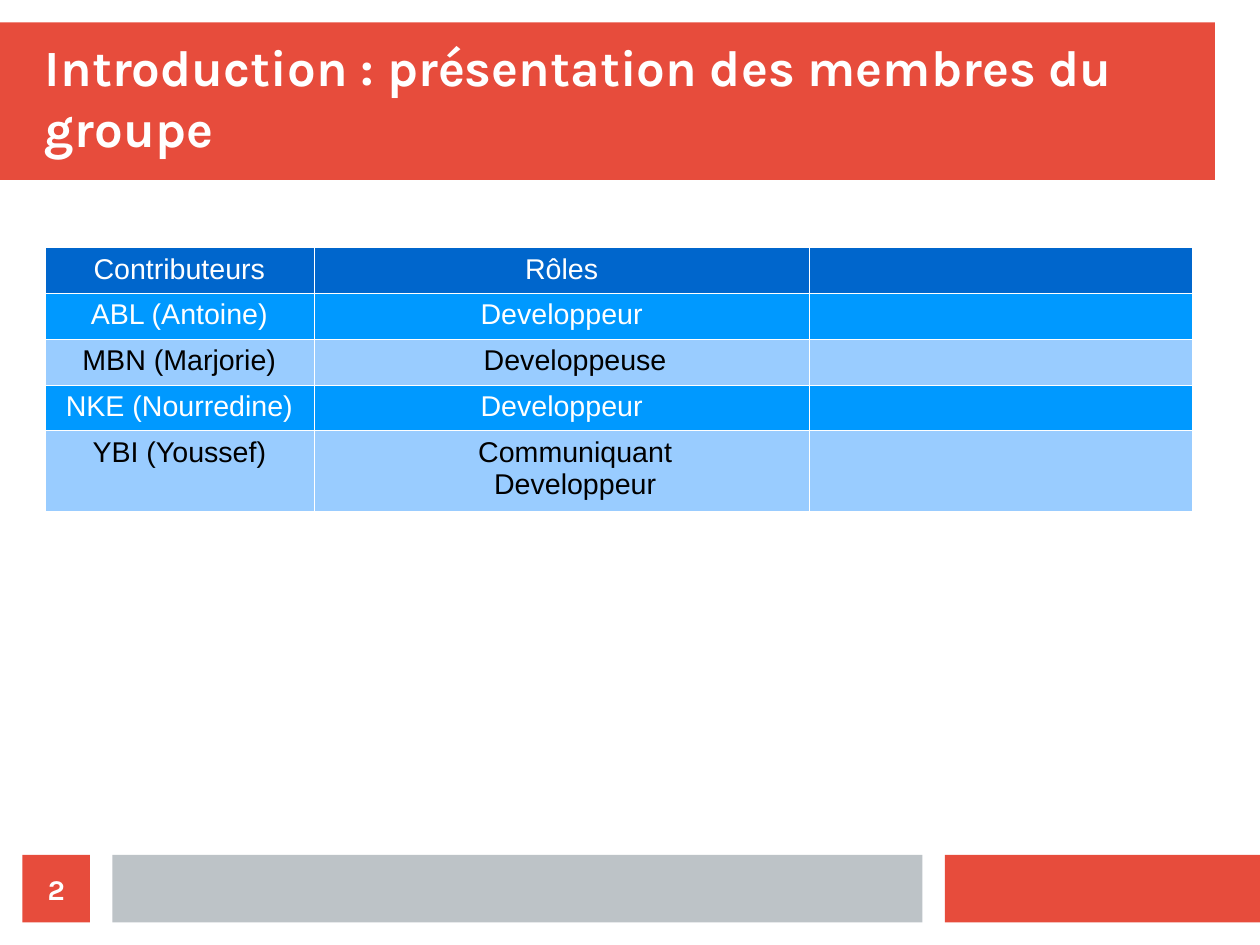
import lxml.etree
import pptx
import pptx.dml.color
import pptx.enum.shapes
import pptx.enum.text
import pptx.oxml.ns
import pptx.util

RGB = pptx.dml.color.RGBColor
RED = RGB(0xE7, 0x4C, 0x3C)
GREY = RGB(0xBD, 0xC3, 0xC7)
WHITE = RGB(0xFF, 0xFF, 0xFF)
BLACK = RGB(0, 0, 0)
HEADER_BLUE = RGB(0x00, 0x66, 0xCC)
BRIGHT_BLUE = RGB(0x00, 0x99, 0xFF)
PALE_BLUE = RGB(0x99, 0xCC, 0xFF)

CENTER = pptx.enum.text.PP_ALIGN.CENTER
LEFT = pptx.enum.text.PP_ALIGN.LEFT
MIDDLE = pptx.enum.text.MSO_ANCHOR.MIDDLE
BOTTOM = pptx.enum.text.MSO_ANCHOR.BOTTOM
CM = pptx.util.Cm
WIDTH, HEIGHT = 28, 21
MARGIN = 1
GAP = 0.5
BORDER = pptx.util.Pt(0.06)
INDENT = CM(0.6)

TABLE_FONT, TABLE_SIZE = "Arial", pptx.util.Pt(18)
COLUMNS = (5.97, 11.02, 8.51)
ROW_HEIGHT = 0.97
EXTRA_LINE = 0.71
MEMBERS = (
    ("Contributeurs", "Rôles", ""),
    ("ABL (Antoine)", "Developpeur", ""),
    ("MBN (Marjorie)", "Developpeuse", ""),
    ("NKE (Nourredine)", "Developpeur", ""),
    ("YBI (Youssef)", "Communiquant\nDeveloppeur", ""),
)


def write(frame, text, align, color, **font_format):
    """Fill a text frame with one paragraph per line of text."""
    frame.text = text
    for paragraph in frame.paragraphs:
        paragraph.alignment = align
        for run in paragraph.runs:
            for key, value in font_format.items():
                setattr(run.font, key, value)
            run.font.color.rgb = color


def write_heading(frame, text, size, align, anchor):
    """Write bold white Karla text without insets."""
    settings = {"word_wrap": True, "vertical_anchor": anchor, "margin_left": 0,
                "margin_right": 0, "margin_top": 0, "margin_bottom": 0}
    for key, value in settings.items():
        setattr(frame, key, value)
    write(frame, text, align, WHITE, name="Karla", size=pptx.util.Pt(size), bold=True)


def add_block(slide, left, top, width, height, color):
    """Add a plain coloured rectangle."""
    block = slide.shapes.add_shape(
        pptx.enum.shapes.MSO_SHAPE.RECTANGLE,
        CM(left), CM(top), CM(width), CM(height))
    block.shadow.inherit = False
    block.fill.solid()
    block.fill.fore_color.rgb = color
    block.line.fill.background()
    return block


def add_title_band(slide, left, top, width, height):
    """Add the red band and the slide title on it."""
    add_block(slide, left, top, width, height, RED)
    title = slide.shapes.add_textbox(
        CM(left + MARGIN), CM(top + GAP), CM(width - MARGIN), CM(height - 2 * GAP))
    write_heading(title.text_frame, "Introduction : présentation des membres du groupe",
                  32, LEFT, BOTTOM)


def add_footer(slide, left, top, width, height):
    """Add the number square, the grey bar and the red bar."""
    bar_left = left + height + GAP
    red_width = WIDTH / 4
    red_left = left + width - red_width
    add_block(slide, red_left, top, red_width, height, RED)
    add_block(slide, bar_left, top, red_left - GAP - bar_left, height, GREY)
    number = add_block(slide, left, top, height, height, RED)
    write_heading(number.text_frame, "2", 18, CENTER, MIDDLE)


def style_cell(cell, fill):
    """Give a cell thin white borders and a solid fill."""
    properties = cell._tc.get_or_add_tcPr()
    for side in ("a:lnL", "a:lnR", "a:lnT", "a:lnB"):
        line = lxml.etree.SubElement(properties, pptx.oxml.ns.qn(side), w=str(BORDER))
        solid = lxml.etree.SubElement(line, pptx.oxml.ns.qn("a:solidFill"))
        lxml.etree.SubElement(solid, pptx.oxml.ns.qn("a:srgbClr"), val=str(WHITE))
    cell.fill.solid()
    cell.fill.fore_color.rgb = fill


def size_empty_cell(cell):
    """Give an empty cell the font of the table, so its row stays low."""
    end = lxml.etree.SubElement(cell.text_frame.paragraphs[0]._p,
                                pptx.oxml.ns.qn("a:endParaRPr"),
                                sz=str(TABLE_SIZE.centipoints))
    lxml.etree.SubElement(end, pptx.oxml.ns.qn("a:latin"), typeface=TABLE_FONT)


def add_members_table(slide, left, top):
    """Add the table of contributors and their roles."""
    heights = [ROW_HEIGHT + EXTRA_LINE * role.count("\n") for _, role, _ in MEMBERS]
    table = slide.shapes.add_table(
        len(MEMBERS), len(COLUMNS), CM(left), CM(top),
        CM(sum(COLUMNS)), CM(sum(heights))).table
    table.first_row = table.horz_banding = False
    for column, width in zip(table.columns, COLUMNS):
        column.width = CM(width)
    for index, (row, member) in enumerate(zip(table.rows, MEMBERS)):
        pale = index > 0 and index % 2 == 0
        fill = PALE_BLUE if pale else BRIGHT_BLUE if index else HEADER_BLUE
        row.height = CM(heights[index])
        for cell, text in zip(row.cells, member):
            style_cell(cell, fill)
            if text:
                write(cell.text_frame, text, CENTER, BLACK if pale else WHITE,
                      name=TABLE_FONT, size=TABLE_SIZE, bold=False)
            else:
                size_empty_cell(cell)
        if pale:
            for role in row.cells[1].text_frame.paragraphs:
                role._p.get_or_add_pPr().set("marL", str(INDENT))


def main():
    """Build the slide and save it."""
    deck = pptx.Presentation()
    deck.slide_width, deck.slide_height = CM(WIDTH), CM(HEIGHT)
    slide = deck.slides.add_slide(deck.slide_layouts[6])
    add_title_band(slide, 0, GAP, WIDTH - MARGIN, 3.5)
    add_members_table(slide, MARGIN, 5.5)
    add_footer(slide, GAP, 19, WIDTH - GAP, 1.5)
    deck.save("out.pptx")


if __name__ == "__main__":
    main()
